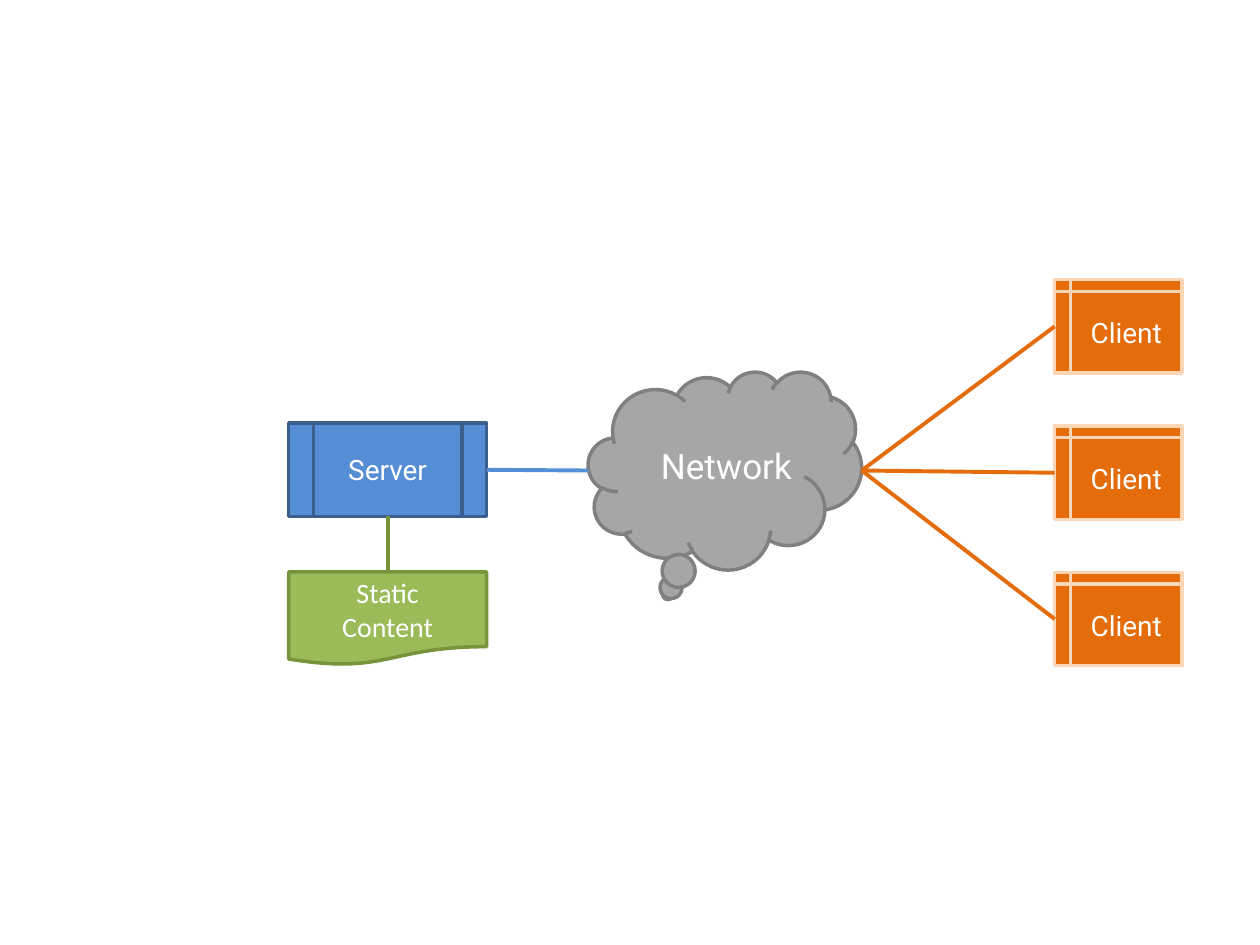
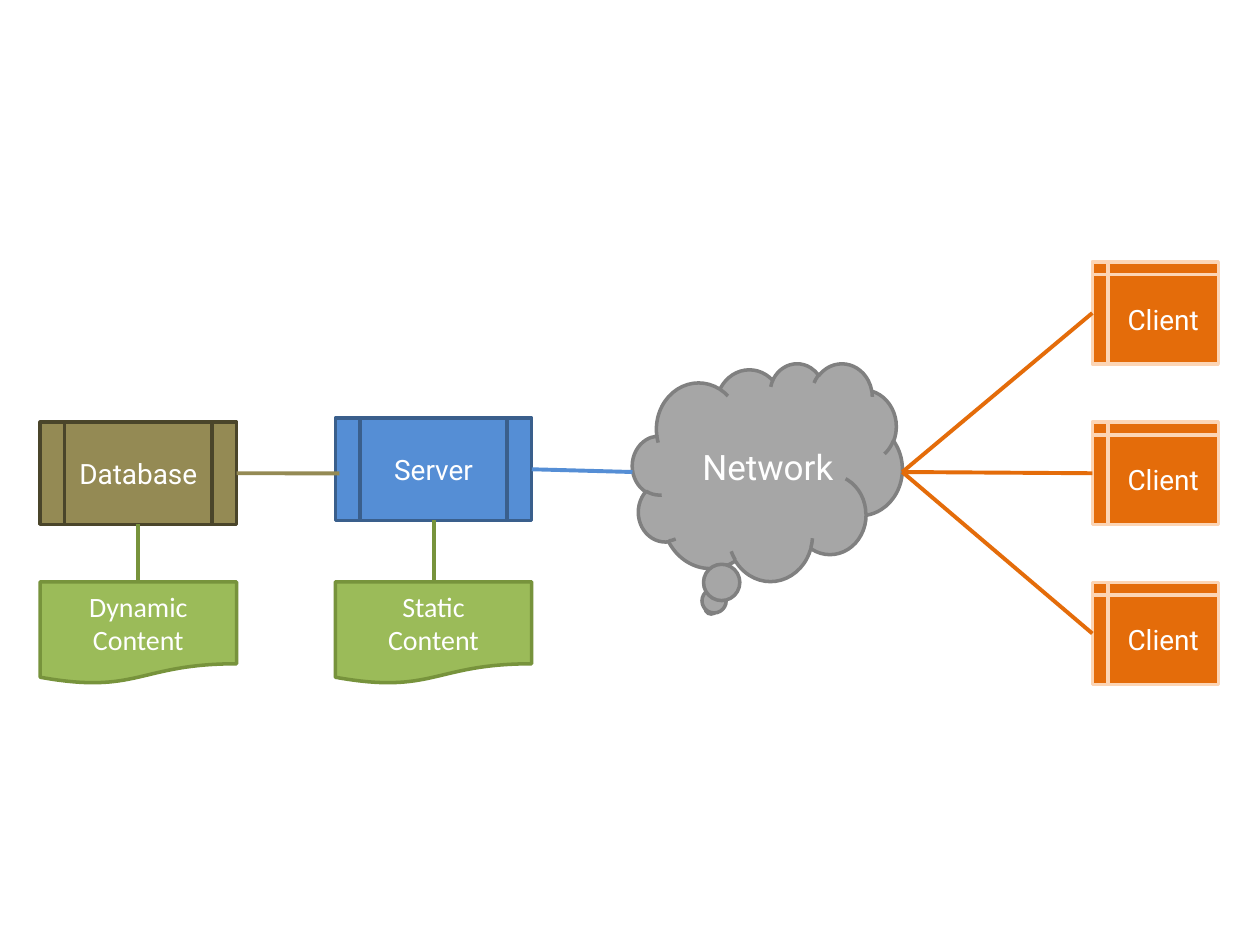
from lxml import etree
from pptx import Presentation
from pptx import util as u
from pptx.dml.color import RGBColor
from pptx.enum import shapes, text
from pptx.oxml.ns import qn

COLOURS = {
    "white": "FFFFFF",
    "network": "A6A6A6", "network edge": "808080",
    "server": "558ED5", "server edge": "3A5F8C",
    "client": "E46C0A", "client edge": "FCD5B5",
    "content": "9BBB59", "content edge": "77933C",
    "database": "948A54", "database edge": "4A452A",
}
KIND = shapes.MSO_SHAPE
# role: preset shape, font, size, alignment
STYLES = {
    "network": (KIND.CLOUD_CALLOUT, "Roboto", 20, text.PP_ALIGN.RIGHT),
    "server": (KIND.FLOWCHART_PREDEFINED_PROCESS, "Roboto", 16, text.PP_ALIGN.CENTER),
    "database": (KIND.FLOWCHART_PREDEFINED_PROCESS, "Roboto", 16, text.PP_ALIGN.CENTER),
    "client": (KIND.FLOWCHART_INTERNAL_STORAGE, "Roboto", 16, text.PP_ALIGN.CENTER),
    "content": (KIND.FLOWCHART_DOCUMENT, "Calibri", 16, text.PP_ALIGN.CENTER),
}
# Lengths in centimetres; the boxes of one slide share their height.
# hosts: role, label, left, top, label of the content below
DIAGRAMS = [
    {"cloud": (11.86, 7.49, 5.51, 3.99), "box_height": 1.88,
     "hosts": [("server", "Server", 5.82, 8.53, "Static\vContent")],
     "host_width": 3.99, "content_top": 11.53,
     "client_left": 21.26, "client_width": 2.57,
     "client_top": 5.64, "client_pitch": 2.95},
    {"cloud": (12.75, 7.32, 5.44, 4.39), "box_height": 2.06,
     "hosts": [("server", "Server", 6.76, 8.43, "Static\vContent"),
               ("database", "Database", 0.81, 8.51, "Dynamic Content")],
     "host_width": 3.96, "content_top": 11.73,
     "client_left": 22.02, "client_width": 2.54,
     "client_top": 5.28, "client_pitch": 3.23},
]
CLIENTS = ["Client"] * 3


def colour(name):
    """Return the named colour."""
    return RGBColor.from_string(COLOURS[name])


def add_node(slide, role, label, left, top, width, height):
    """Draw one labelled shape in the style of its role."""
    kind, font, size, alignment = STYLES[role]
    shape = slide.shapes.add_shape(kind, *map(u.Cm, (left, top, width, height)))
    shape.shadow.inherit = False
    shape.fill.solid()
    shape.fill.fore_color.rgb = colour(role)
    shape.line.color.rgb = colour(role + " edge")
    shape.line.width = u.Pt(2)
    frame = shape.text_frame
    frame.word_wrap = True
    frame.vertical_anchor = text.MSO_ANCHOR.MIDDLE
    frame.text = label
    paragraph = frame.paragraphs[0]
    paragraph.alignment = alignment
    for run in paragraph.runs:
        run.font.name = font
        run.font.size = u.Pt(size)
        run.font.color.rgb = colour("white")
    return shape


def side(shape, across, down):
    """Return the point at the given fractions of a shape's box."""
    return (int(shape.left + across * shape.width),
            int(shape.top + down * shape.height))


def add_link(slide, start, end, colour_name):
    """Draw a straight line between two points."""
    line = slide.shapes.add_connector(shapes.MSO_CONNECTOR.STRAIGHT, *start, *end)
    line.line.color.rgb = colour(colour_name)
    line.line.width = u.Pt(2.25)
    properties = line._element.find(qn("p:spPr"))
    etree.SubElement(properties, qn("a:effectLst"))


def add_diagram(slide, diagram):
    """Draw the hosts with their content, the network and its clients."""
    height, width = diagram["box_height"], diagram["host_width"]
    cloud = add_node(slide, "network", "Network", *diagram["cloud"])
    target = side(cloud, 0, 0.5)
    for role, label, left, top, content in diagram["hosts"]:
        host = add_node(slide, role, label, left, top, width, height)
        document = add_node(slide, "content", content, left,
                            diagram["content_top"], width, height)
        add_link(slide, side(host, 0.5, 1), side(document, 0.5, 0), "content edge")
        add_link(slide, side(host, 1, 0.5), target, role)
        target = side(host, 0.02, 0.54)  # the next host links to this one
    for index, label in enumerate(CLIENTS):
        top = diagram["client_top"] + index * diagram["client_pitch"]
        client = add_node(slide, "client", label, diagram["client_left"], top,
                          diagram["client_width"], height)
        add_link(slide, side(client, 0, 0.5), side(cloud, 1, 0.5), "client")


def main():
    """Build and save the presentation."""
    presentation = Presentation()
    presentation.slide_width = u.Cm(25.4)
    presentation.slide_height = u.Cm(19.05)
    for diagram in DIAGRAMS:
        slide = presentation.slides.add_slide(presentation.slide_layouts[6])
        add_diagram(slide, diagram)
    presentation.save("out.pptx")


main()
